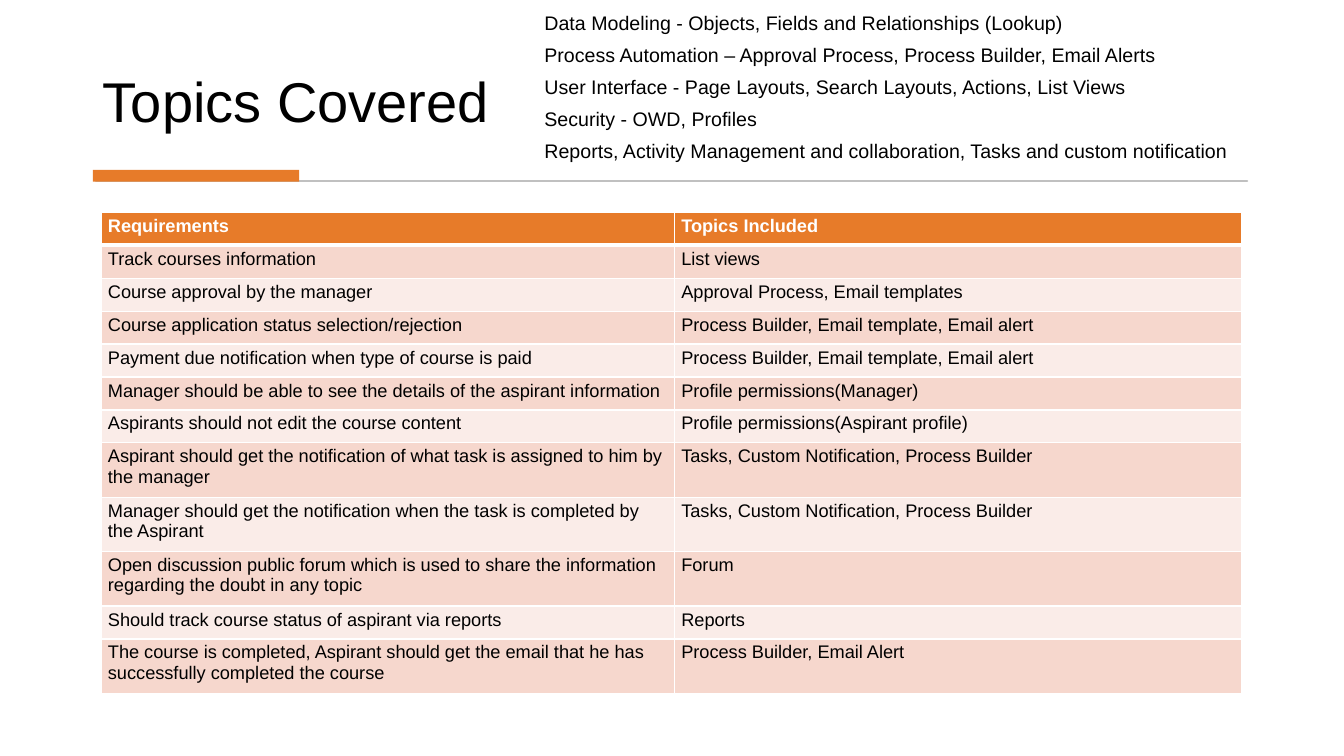
"""Build the Topics Covered slide: topic list above a requirements table."""
import pptx
import pptx.util
import pptx.dml.color
import pptx.enum.shapes
import pptx.enum.text
import pptx.oxml
import pptx.oxml.ns

TITLE = "Topics Covered"
TOPICS = [
    "Data Modeling - Objects, Fields and Relationships (Lookup)",
    "Process Automation – Approval Process, Process Builder, Email Alerts",
    "User Interface - Page Layouts, Search Layouts, Actions, List Views",
    "Security - OWD, Profiles",
    "Reports, Activity Management and collaboration, Tasks and custom notification",
]
REQUIREMENTS = [
    ("Requirements", "Topics Included"),
    ("Track courses information", "List views"),
    ("Course approval by the manager", "Approval Process, Email templates"),
    ("Course application status selection/rejection",
     "Process Builder, Email template, Email alert"),
    ("Payment due notification when type of course is paid",
     "Process Builder, Email template, Email alert"),
    ("Manager should be able to see the details of the aspirant information",
     "Profile permissions(Manager)"),
    ("Aspirants should not edit the course content",
     "Profile permissions(Aspirant profile)"),
    ("Aspirant should get the notification of what task is assigned to him by the manager",
     "Tasks, Custom Notification, Process Builder"),
    ("Manager should get the notification when the task is completed by the Aspirant",
     "Tasks, Custom Notification, Process Builder"),
    ("Open discussion public forum which is used to share the information "
     "regarding the doubt in any topic", "Forum"),
    ("Should track course status of aspirant via reports", "Reports"),
    ("The course is completed, Aspirant should get the email that he has "
     "successfully completed the course", "Process Builder, Email Alert"),
]
COLORS = {"text": "000000", "white": "FFFFFF", "accent": "E77B29",
          "rule": "595959", "odd": "F6D7CD", "even": "FAECE8"}
FONT = "Arial"
COLUMN_WIDTHS = (14.45, 14.3)
SHORT_ROW, TALL_ROW, LINE_LENGTH = 0.83, 1.37, 72


def cm(*lengths):
    return [pptx.util.Cm(length) for length in lengths]


def rgb(name):
    return pptx.dml.color.RGBColor.from_string(COLORS[name])


def style(paragraph, size, color="text", bold=False):
    for run in paragraph.runs:
        run.font.name, run.font.size, run.font.bold = FONT, pptx.util.Pt(size), bold
        run.font.color.rgb = rgb(color)


def add_bar(slide, box, color):
    bar = slide.shapes.add_shape(pptx.enum.shapes.MSO_SHAPE.RECTANGLE, *cm(*box))
    bar.shadow.inherit = False
    bar.fill.solid()
    bar.fill.fore_color.rgb = rgb(color)
    bar.line.fill.background()
    return bar


def add_rule(slide, box):
    rule = add_bar(slide, box, "rule")
    rule.line.color.rgb = rgb("rule")
    rule.line.width = pptx.util.Pt(0.75)
    for color in rule._element.spPr.iter(pptx.oxml.ns.qn("a:srgbClr")):
        color.append(pptx.oxml.parse_xml(
            f'<a:alpha {pptx.oxml.ns.nsdecls("a")} val="30000"/>'))


def set_borders(cell, widths):
    for side, width in widths.items():
        cell._tc.get_or_add_tcPr().append(pptx.oxml.parse_xml(
            f'<a:ln{side} {pptx.oxml.ns.nsdecls("a")} w="{pptx.util.Pt(width)}"><a:solidFill>'
            f'<a:srgbClr val="{COLORS["white"]}"/></a:solidFill></a:ln{side}>'))


def add_title(slide):
    title = slide.shapes.title
    title.left, title.top, title.width, title.height = cm(2.34, 0.71, 29.18, 2.82)
    frame = title.text_frame
    frame.text = TITLE
    frame.vertical_anchor = pptx.enum.text.MSO_ANCHOR.BOTTOM
    frame.auto_size = pptx.enum.text.MSO_AUTO_SIZE.NONE
    heading = frame.paragraphs[0]
    heading.alignment = pptx.enum.text.PP_ALIGN.LEFT
    heading.line_spacing = 0.9
    style(heading, 40)


def add_topics(slide):
    frame = slide.shapes.add_textbox(*cm(13.47, 0.15, 19.79, 4.11)).text_frame
    frame.word_wrap = True
    frame.auto_size = pptx.enum.text.MSO_AUTO_SIZE.SHAPE_TO_FIT_TEXT
    frame.text = "\n".join(TOPICS)
    for topic in frame.paragraphs:
        topic.space_after = pptx.util.Pt(6)
        style(topic, 14)


def add_requirements(slide):
    heights = [TALL_ROW if len(need) > LINE_LENGTH else SHORT_ROW for need, _ in REQUIREMENTS]
    table = slide.shapes.add_table(
        len(REQUIREMENTS), len(COLUMN_WIDTHS),
        *cm(2.55, 5.35, sum(COLUMN_WIDTHS), sum(heights))).table
    for column, width in zip(table.columns, COLUMN_WIDTHS):
        column.width = pptx.util.Cm(width)
    for index, (texts, height) in enumerate(zip(REQUIREMENTS, heights)):
        header = index == 0
        fill = "accent" if header else ("even", "odd")[index % 2]
        table.rows[index].height = pptx.util.Cm(height)
        for cell, text in zip(table.rows[index].cells, texts):
            cell.margin_left = cell.margin_right = pptx.util.Cm(0.17)
            cell.margin_top = cell.margin_bottom = pptx.util.Cm(0.09)
            set_borders(cell, {"L": 1, "R": 1, "T": 3 if index == 1 else 1,
                               "B": 3 if header else 1})
            cell.fill.solid()
            cell.fill.fore_color.rgb = rgb(fill)
            cell.text_frame.text = text
            style(cell.text_frame.paragraphs[0], 13, "white" if header else "text", header)


def main():
    deck = pptx.Presentation()
    deck.slide_width, deck.slide_height = cm(33.87, 19.05)
    slide = deck.slides.add_slide(deck.slide_layouts[5])
    add_title(slide)
    add_rule(slide, (2.41, 4.55, 29.03, 0.02))
    add_bar(slide, (2.34, 4.28, 5.2, 0.3), "accent")
    add_topics(slide)
    add_requirements(slide)
    deck.save("out.pptx")


if __name__ == "__main__":
    main()
